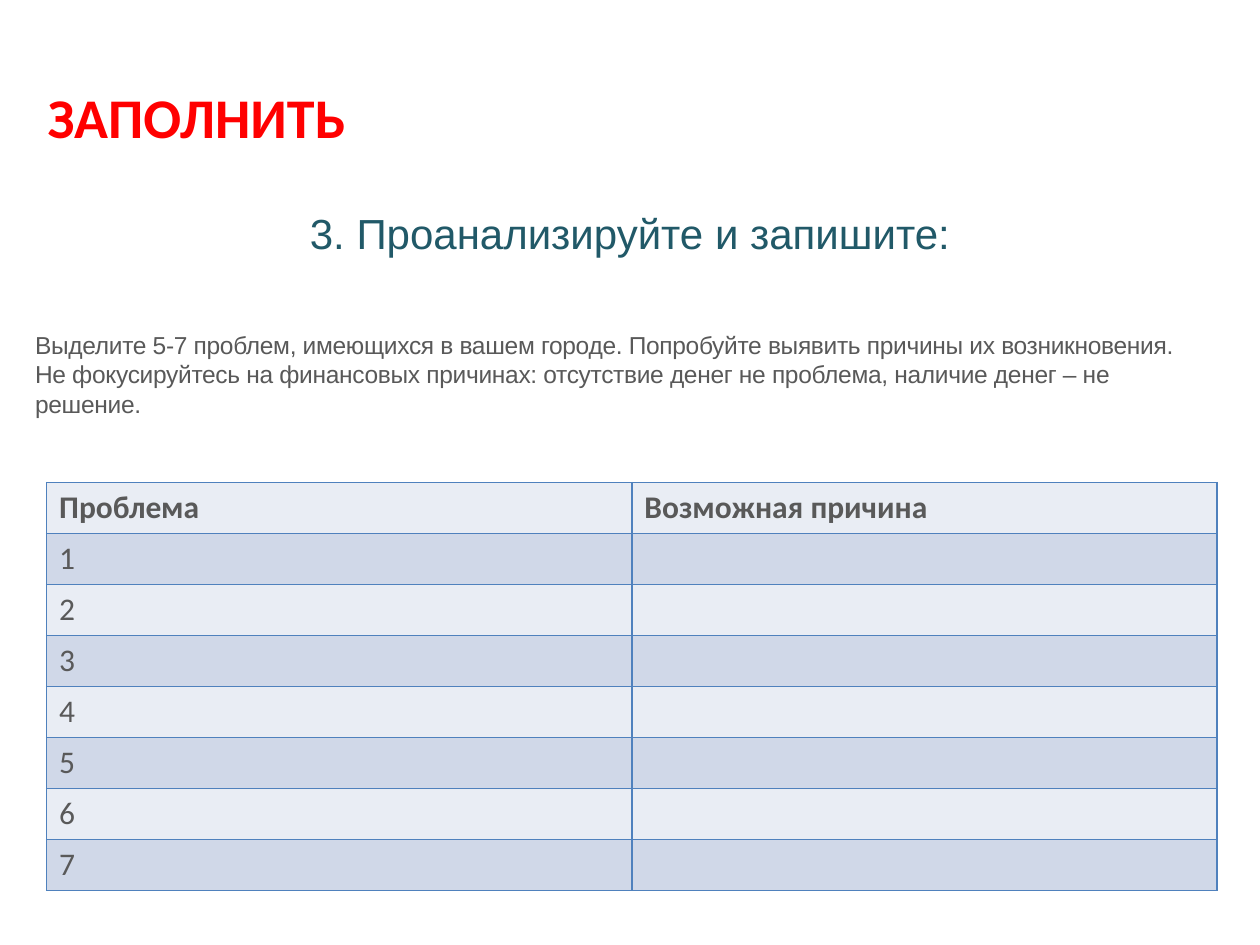
import pptx
import pptx.dml.color
import pptx.enum.text
import pptx.oxml
import pptx.oxml.ns
import pptx.util
from dataclasses import dataclass

Inches = pptx.util.Inches
Pt = pptx.util.Pt
Color = pptx.dml.color.RGBColor.from_string
Enum = pptx.enum.text


@dataclass(frozen=True)
class Theme:
    sans: str = "Arial"
    main: str = "Calibri"
    red: str = "FF0000"
    teal: str = "215968"
    gray: str = "595959"
    line: str = "4F81BD"
    bands: tuple = ("E9EDF4", "D0D8E8")
    head: int = 32
    title: int = 24
    cell: int = 18
    note: int = 14


theme = Theme()


def style(para, name, size, color, bold=False):
    font = para.font
    font.name, font.size, font.bold = name, Pt(size), bold
    font.color.rgb = Color(color)


def edge(cell):
    """Draw a 1 pt line on all four sides of a cell; call before filling it."""
    props = cell._tc.get_or_add_tcPr()
    for side in ("lnL", "lnR", "lnT", "lnB"):
        props.append(pptx.oxml.parse_xml(
            f'<a:{side} {pptx.oxml.ns.nsdecls("a")} w="{Pt(1)}"><a:solidFill>'
            f'<a:srgbClr val="{theme.line}"/></a:solidFill></a:{side}>'))


deck = pptx.Presentation()
deck.slide_width, deck.slide_height = Inches(10), Inches(7.5)
slide = deck.slides.add_slide(deck.slide_layouts[5])

# Title
title = slide.shapes.title
title.left, title.top = Inches(0), Inches(1.63)
title.width, title.height = Inches(10), Inches(0.43)
frame = title.text_frame
frame.text = "3. Проанализируйте и запишите:"
frame.auto_size = Enum.MSO_AUTO_SIZE.NONE
frame.vertical_anchor = Enum.MSO_ANCHOR.MIDDLE
frame.paragraphs[0].alignment = Enum.PP_ALIGN.CENTER
style(frame.paragraphs[0], theme.sans, theme.title, theme.teal)

# Task
note = slide.shapes.add_textbox(
    Inches(0.18), Inches(2.57), Inches(9.48), Inches(1.04))
frame = note.text_frame
frame.word_wrap = True
frame.text = (
    "Выделите 5-7 проблем, имеющихся в вашем городе. "
    "Попробуйте выявить причины их возникновения.\n"
    "Не фокусируйтесь на финансовых причинах: "
    "отсутствие денег не проблема, наличие денег – не решение.")
for para in frame.paragraphs:
    style(para, theme.sans, theme.note, theme.gray)
    for run in para.runs:
        run.font._element.set("spc", "-20")

# Table to fill in
rows = [("Проблема", "Возможная причина")]
rows += [(str(n), "") for n in range(1, 8)]
table = slide.shapes.add_table(
    len(rows), 2, Inches(0.37), Inches(3.83), Inches(9.29), Inches(3.24)).table
for r, row in enumerate(rows):
    for c, text in enumerate(row):
        cell = table.cell(r, c)
        cell.text = text
        style(cell.text_frame.paragraphs[0], theme.main, theme.cell,
              theme.gray, bold=r == 0)
        edge(cell)
        cell.fill.solid()
        cell.fill.fore_color.rgb = Color(theme.bands[r % 2])

# Call to action
head = slide.shapes.add_textbox(
    Inches(0.28), Inches(0.61), Inches(2.59), Inches(0.64))
head.text_frame.word_wrap = True
head.text_frame.text = "ЗАПОЛНИТЬ"
style(head.text_frame.paragraphs[0], theme.main, theme.head, theme.red, bold=True)

deck.save("out.pptx")
